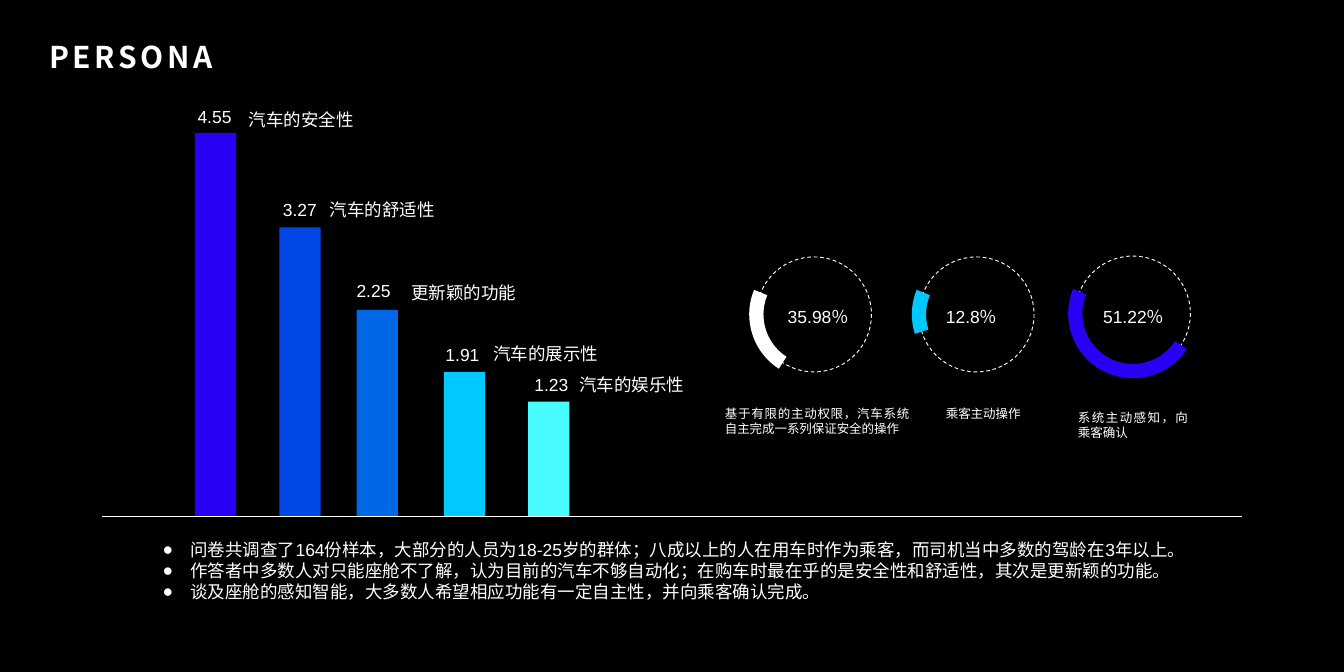
import pptx
import pptx.util
import pptx.dml.color
import pptx.enum.dml
import pptx.enum.shapes
import pptx.enum.text
import lxml.etree

PX = 9144  # 100 px to the inch
WIDE, HIGH = 1496, 748
WHITE, BLACK = "FFFFFF", "000000"
SANS, HAN = "Arial", "Noto Sans CJK SC"

TITLE = "PERSONA"
BASE, BAR_W = 575, 46
# left, top, colour, score, score place, label, label place
BARS = [
    (217, 148, "2900F4", "4.55", (210, 113), "汽车的安全性", (267, 117)),
    (311, 253, "0047E6", "3.27", (305, 217), "汽车的舒适性", (357, 217)),
    (397, 345, "0068E6", "2.25", (387, 307), "更新颖的功能", (448, 309)),
    (494, 414, "01C9FF", "1.91", (486, 378), "汽车的展示性", (539, 377)),
    (588, 447, "47FBFF", "1.23", (585, 411), "汽车的娱乐性", (635, 411)),
]
# centre, arc start in degrees, colour, share, share left, note, note box
RINGS = [
    ((906, 350), 122.92, WHITE, "35.98％", 867,
     "基于有限的主动权限，汽车系统自主完成一系列保证安全的操作", (797, 447, 225, 53)),
    ((1087, 350), 162.53, "01C9FF", "12.8％", 1043,
     "乘客主动操作", (1043, 447, 142, 53)),
    ((1261, 349), 33.3, "2900F4", "51.22％", 1218,
     "系统主动感知，向乘客确认", (1190, 452, 142, 53)),
]
RING, ARC, ARC_END = 128, 144, 202.33
POINTS = [
    "问卷共调查了164份样本，大部分的人员为18-25岁的群体；八成以上的人在用车时作为乘客，而司机当中多数的驾龄在3年以上。",
    "作答者中多数人对只能座舱不了解，认为目前的汽车不够自动化；在购车时最在乎的是安全性和舒适性，其次是更新颖的功能。",
    "谈及座舱的感知智能，大多数人希望相应功能有一定自主性，并向乘客确认完成。",
]

SHAPE = pptx.enum.shapes.MSO_SHAPE
ALIGN = pptx.enum.text.PP_ALIGN
ANCHOR = pptx.enum.text.MSO_ANCHOR


def rgb(code):
    return pptx.dml.color.RGBColor.from_string(code)


def place(shape, *box):
    shape.left, shape.top, shape.width, shape.height = [n * PX for n in box]


def style(para, size, face):
    for run in para.runs:
        run.font.size = pptx.util.Pt(size)
        run.font.name = face
        run.font.color.rgb = rgb(WHITE)


def write(text, box, size=14, face=SANS, align=ALIGN.LEFT):
    frame = slide.shapes.add_textbox(*[n * PX for n in box]).text_frame
    frame.word_wrap = True
    frame.text = text
    frame.paragraphs[0].alignment = align
    style(frame.paragraphs[0], size, face)


def draw(kind, box, fill=None):
    """Add a shape without outline or shadow; no fill when none is given."""
    shape = slide.shapes.add_shape(kind, *[n * PX for n in box])
    shape.shadow.inherit = False
    shape.line.fill.background()
    if fill:
        shape.fill.solid()
        shape.fill.fore_color.rgb = rgb(fill)
    else:
        shape.fill.background()
    return shape


def stroke(line, width):
    line.color.rgb = rgb(WHITE)
    line.width = pptx.util.Pt(width)


def bullet(para, indent):
    props = para._p.get_or_add_pPr()
    props.set("marL", str(indent * PX))
    props.set("indent", str(-indent * PX))
    space = pptx.oxml.ns.qn
    lxml.etree.SubElement(props, space("a:buFont")).set("typeface", SANS)
    lxml.etree.SubElement(props, space("a:buChar")).set("char", "●")


deck = pptx.Presentation()
deck.slide_width, deck.slide_height = WIDE * PX, HIGH * PX
slide = deck.slides.add_slide(deck.slide_layouts[1])
slide.background.fill.solid()
slide.background.fill.fore_color.rgb = rgb(BLACK)

title, body = slide.shapes.title, slide.placeholders[1]
place(title, 26, 24, 240, 77)
title.text_frame.text = TITLE
title.text_frame.vertical_anchor = ANCHOR.MIDDLE
head = title.text_frame.paragraphs[0]
head.alignment = ALIGN.CENTER
style(head, 24, HAN)
head.runs[0].font.bold = True
head.runs[0].font._element.set("spc", "300")

place(body, 171, 595, 1232, 128)
body.text_frame.text = "\n".join(POINTS)
for para in body.text_frame.paragraphs:
    para.space_before = 0
    bullet(para, 31)
    style(para, 14, SANS)

for left, top, fill, score, spot, label, side in BARS:
    draw(SHAPE.RECTANGLE, (left, top, BAR_W, BASE - top), fill)
    write(score, (*spot, 61, 34))
    write(label, (*side, 144, 34))

axis = slide.shapes.add_connector(
    pptx.enum.shapes.MSO_CONNECTOR.STRAIGHT, 114 * PX, BASE * PX, 1382 * PX, BASE * PX)
stroke(axis.line, 1)
lxml.etree.SubElement(axis._element.spPr, pptx.oxml.ns.qn("a:effectLst"))

for (mid_x, mid_y), start, fill, share, left, note, box in RINGS:
    ring = draw(SHAPE.OVAL, (mid_x - RING // 2, mid_y - RING // 2, RING, RING))
    stroke(ring.line, 0.75)
    ring.line.dash_style = pptx.enum.dml.MSO_LINE.DASH
    arc = draw(SHAPE.BLOCK_ARC, (mid_x - ARC // 2, mid_y - ARC // 2, ARC, ARC), fill)
    # One degree is 60000 units, and an adjustment of 1 is 100000
    arc.adjustments[0] = start * 0.6
    arc.adjustments[1] = ARC_END * 0.6
    arc.adjustments[2] = 0.11
    write(share, (left, 336, 104, 34))
    write(note, box, 10, HAN, ALIGN.JUSTIFY)

deck.save("out.pptx")
